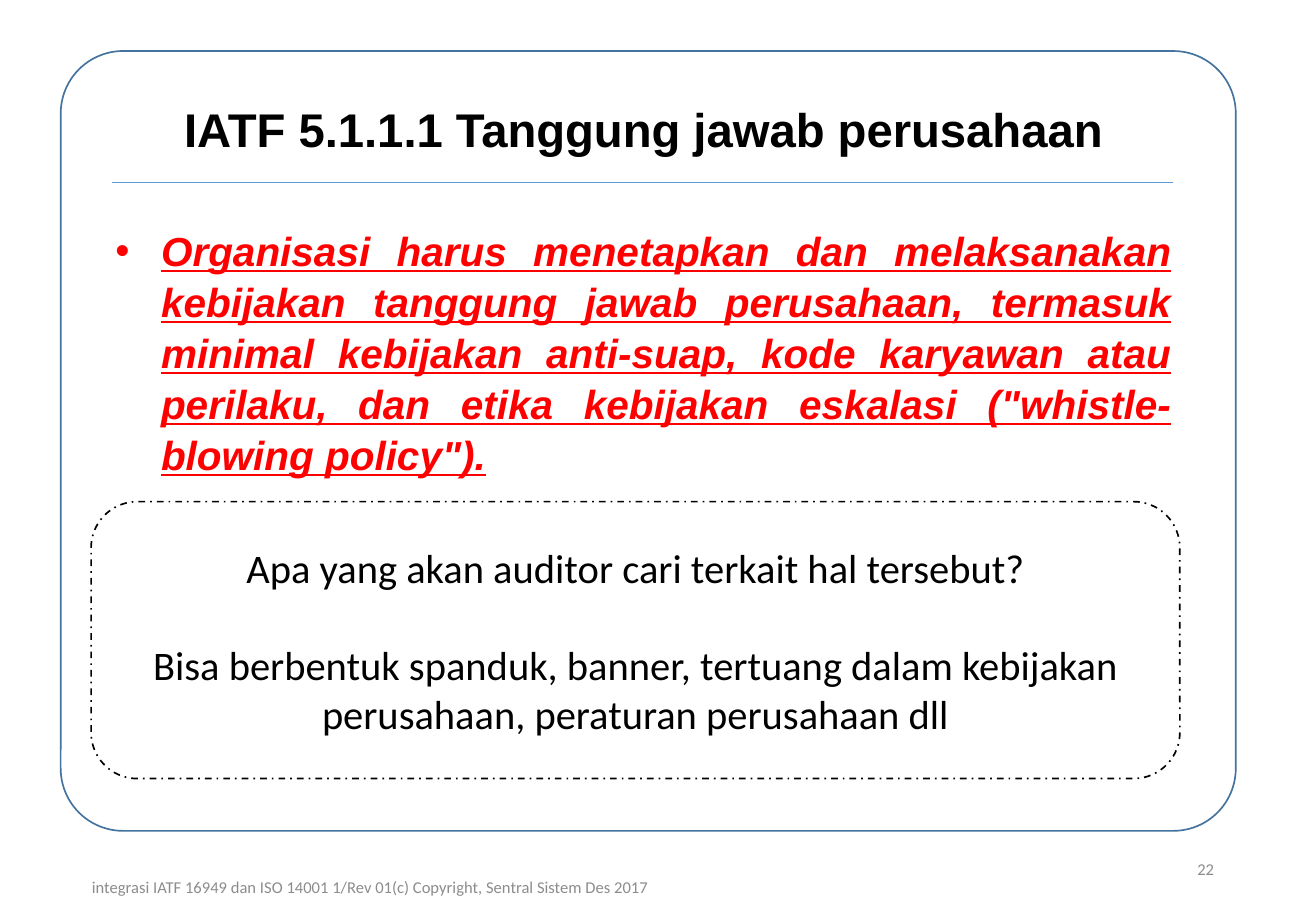
import dataclasses

import pptx
import pptx.dml.color
import pptx.enum.dml
import pptx.enum.shapes
import pptx.enum.text
import pptx.oxml
import pptx.oxml.ns
import pptx.util

PX = pptx.util.Inches(1) // 100
ALIGN = pptx.enum.text.PP_ALIGN
ANCHOR = pptx.enum.text.MSO_ANCHOR
ROUNDED = pptx.enum.shapes.MSO_SHAPE.ROUNDED_RECTANGLE


@dataclasses.dataclass(frozen=True)
class Theme:
    """Colours, fonts and type sizes of the slide."""
    paper: str = "FFFFFF"
    ink: str = "000000"
    clause: str = "FF0000"
    frame: str = "43739E"
    rule: str = "5B9BD5"
    muted: str = "8C8C8C"
    head_font: str = "Arial"
    text_font: str = "Calibri"
    title_size: float = 28
    body_size: float = 24
    note_size: float = 9.8
    head_spacing: float = 1.05
    question_gap: float = 29


THEME = Theme()


def rgb(code):
    """Return the colour for a hex code."""
    return pptx.dml.color.RGBColor.from_string(code)


def emu(box):
    """Turn a box in px into EMU lengths."""
    return [v * PX for v in box]


def place(sp, box):
    """Move and size a shape to a box."""
    sp.left, sp.top, sp.width, sp.height = emu(box)


def write(sp, lines, font, size, color, align, anchor=ANCHOR.TOP,
          spacing=1.0, gap=0, **style):
    """Fill a shape with formatted paragraphs."""
    tf = sp.text_frame
    tf.text = "\n".join(lines)
    tf.word_wrap = True
    tf.auto_size = pptx.enum.text.MSO_AUTO_SIZE.NONE
    tf.vertical_anchor = anchor
    for i, p in enumerate(tf.paragraphs):
        p.alignment = align
        p.line_spacing = spacing
        p.space_before = pptx.util.Pt(gap if i else 0)
        for r in p.runs:
            r.font.name = font
            r.font.size = pptx.util.Pt(size)
            r.font.color.rgb = rgb(color)
            for name, value in style.items():
                setattr(r.font, name, value)


def add_rounded(slide, box, line):
    """Add an unfilled rounded rectangle with a thin outline."""
    sp = slide.shapes.add_shape(ROUNDED, *emu(box))
    sp.shadow.inherit = False
    sp.fill.background()
    sp.line.color.rgb = rgb(line)
    sp.line.width = pptx.util.Pt(1)
    return sp


def add_frame(slide, box):
    """Draw the rounded page frame behind everything else."""
    sp = add_rounded(slide, box, THEME.frame)
    sp.fill.solid()
    sp.fill.fore_color.rgb = rgb(THEME.paper)
    sp.adjustments[0] = 0.08
    sp.element.getparent().insert(2, sp.element)


def add_heading(slide, box, text):
    """Set the title with the rule below it."""
    x, y, w, h = box
    sp = slide.shapes.title
    place(sp, (x + 20, y, w - 38, h))
    write(sp, [text], THEME.head_font, THEME.title_size, THEME.ink,
          ALIGN.CENTER, spacing=THEME.head_spacing, bold=True)
    rule = slide.shapes.add_connector(
        pptx.enum.shapes.MSO_CONNECTOR.STRAIGHT,
        *emu((x, y + 75, x + w, y + 75)))
    rule.line.color.rgb = rgb(THEME.rule)
    rule.line.width = pptx.util.Pt(0.5)
    rule.element.spPr.append(pptx.oxml.parse_xml(
        "<a:effectLst %s/>" % pptx.oxml.ns.nsdecls("a")))


def add_clause(slide, box, text):
    """Set the clause in the body placeholder without a bullet."""
    sp = slide.placeholders[1]
    place(sp, box)
    sp.text_frame.text = text
    pPr = sp.text_frame.paragraphs[0]._p.get_or_add_pPr()
    pPr.set("marL", "0")
    pPr.set("indent", "0")
    pPr.append(pptx.oxml.parse_xml(
        "<a:buNone %s/>" % pptx.oxml.ns.nsdecls("a")))
    write(sp, [text], THEME.head_font, THEME.body_size, THEME.clause,
          ALIGN.JUSTIFY, spacing=THEME.head_spacing,
          bold=True, italic=True, underline=True)


def add_question(slide, box, lines):
    """Draw the dashed box with the audit question and its answer."""
    sp = add_rounded(slide, box, THEME.ink)
    sp.line.dash_style = pptx.enum.dml.MSO_LINE.DASH_DOT
    write(sp, lines, THEME.text_font, THEME.body_size, THEME.ink,
          ALIGN.CENTER, ANCHOR.MIDDLE, gap=THEME.question_gap)


def add_footer(slide, box, credit, number):
    """Set the copyright line and the slide number."""
    x, y, w, h = box
    notes = [(credit, (x, y + 15, 525, h), ALIGN.CENTER),
             (number, (x + w - 244, y, 244, h), ALIGN.RIGHT)]
    for text, area, align in notes:
        sp = slide.shapes.add_textbox(*emu(area))
        write(sp, [text], THEME.text_font, THEME.note_size, THEME.muted,
              align, ANCHOR.MIDDLE)


def main():
    """Build the slide and save it."""
    prs = pptx.Presentation()
    prs.slide_width, prs.slide_height = emu((1083, 750))
    slide = prs.slides.add_slide(prs.slide_layouts[1])
    add_frame(slide, (50, 42, 967, 642))
    add_heading(slide, (92, 75, 873, 57),
                "IATF 5.1.1.1 Tanggung jawab perusahaan")
    add_clause(slide, (85, 179, 889, 212),
               "Organisasi harus menetapkan dan melaksanakan kebijakan "
               "tanggung jawab perusahaan, termasuk minimal kebijakan "
               "anti-suap, kode karyawan atau perilaku, dan etika kebijakan "
               'eskalasi ("whistle-blowing policy").')
    add_question(slide, (75, 413, 896, 228), [
        "Apa yang akan auditor cari terkait hal tersebut?",
        "Bisa berbentuk spanduk, banner, tertuang dalam kebijakan "
        "perusahaan, peraturan perusahaan dll"])
    add_footer(slide, (42, 695, 967, 40),
               "integrasi IATF 16949 dan ISO 14001 1/Rev 01(c) Copyright, "
               "Sentral Sistem Des 2017", "22")
    prs.save("out.pptx")


if __name__ == "__main__":
    main()
